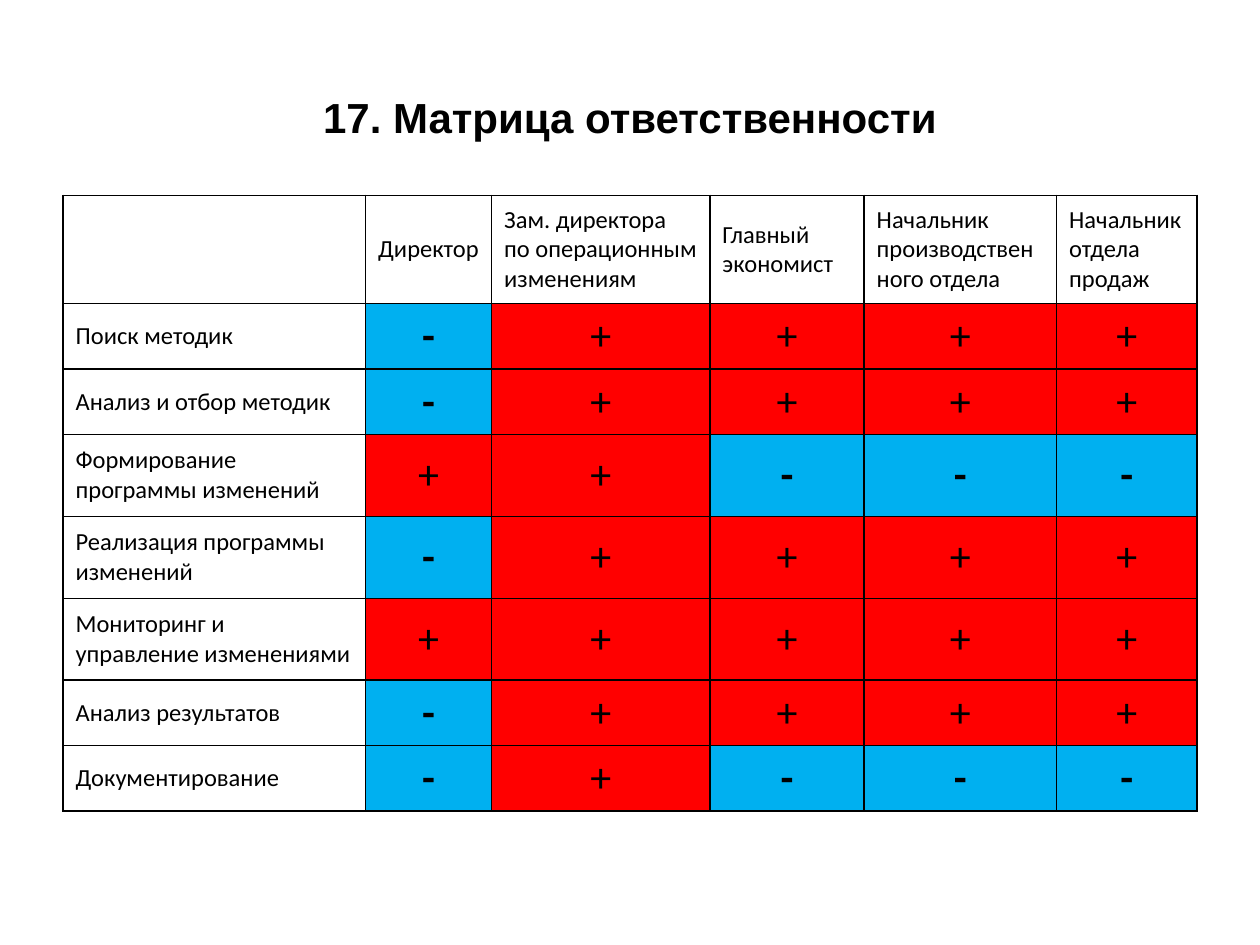
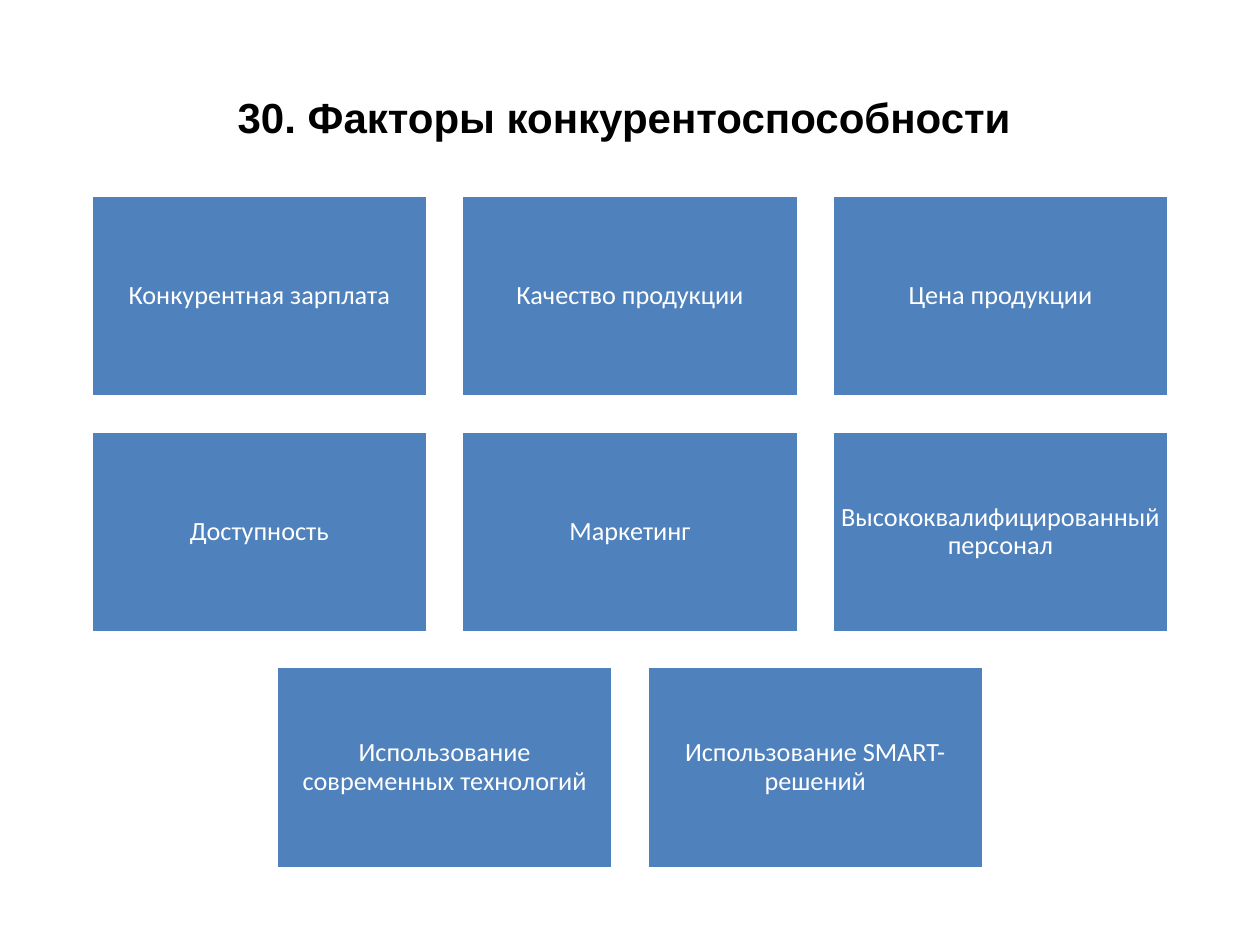
from lxml.etree import SubElement
from pptx import Presentation
from pptx.dml.color import RGBColor
from pptx.enum.shapes import MSO_SHAPE
from pptx.enum.text import MSO_ANCHOR, PP_ALIGN
from pptx.oxml.ns import qn
from pptx.util import Cm, Pt

BLACK = RGBColor(0x00, 0x00, 0x00)
WHITE = RGBColor(0xFF, 0xFF, 0xFF)
RED = RGBColor(0xFF, 0x00, 0x00)
SKY = RGBColor(0x00, 0xB0, 0xF0)
BLUE = RGBColor(0x4F, 0x81, 0xBD)

PAGE_WIDTH, PAGE_HEIGHT = Cm(25.4), Cm(19.05)
TITLE_BOX = (Cm(1.27), Cm(0.76), Cm(22.86), Cm(3.18))
BODY_BOX = (Cm(1.27), Cm(3.94), Cm(22.86), Cm(13.57))
TITLE_ONLY = 5

COLUMN_WIDTHS = [6.1, 2.54, 4.4, 3.11, 3.88, 2.83]
HEADER_HEIGHT, LOW_ROW, TALL_ROW = 2.18, 1.32, 1.65
ROLES = [
    "Директор",
    "Зам. директора по операционным изменениям",
    "Главный экономист",
    "Начальник производственного отдела",
    "Начальник отдела продаж",
]
# Task, one mark per role, row height
TASKS = [
    ("Поиск методик", "-++++", LOW_ROW),
    ("Анализ и отбор методик", "-++++", LOW_ROW),
    ("Формирование программы изменений", "++---", TALL_ROW),
    ("Реализация программы изменений", "-++++", TALL_ROW),
    ("Мониторинг и управление изменениями", "+++++", TALL_ROW),
    ("Анализ результатов", "-++++", LOW_ROW),
    ("Документирование", "-+---", LOW_ROW),
]

FACTORS = [
    "Конкурентная зарплата",
    "Качество продукции",
    "Цена продукции",
    "Доступность",
    "Маркетинг",
    "Высококвалифицированный персонал",
    "Использование современных технологий",
    "Использование SMART-решений",
]
FACTORS_PER_ROW = 3
FACTOR_WIDTH, FACTOR_HEIGHT, FACTOR_GAP = Cm(6.79), Cm(4.07), Cm(0.68)


def write(frame, text, size, color=BLACK, font="Calibri", bold=False,
          align=PP_ALIGN.CENTER):
    para = frame.paragraphs[0]
    para.alignment = align
    span = para.add_run()
    span.text = text
    span.font.name = font
    span.font.size = Pt(size)
    span.font.bold = bold
    span.font.color.rgb = color
    return para


def add_titled_page(deck, title):
    page = deck.slides.add_slide(deck.slide_layouts[TITLE_ONLY])
    box = page.shapes.title
    box.left, box.top, box.width, box.height = TITLE_BOX
    box.text_frame.vertical_anchor = MSO_ANCHOR.MIDDLE
    write(box.text_frame, title, 24, font="Arial", bold=True)
    return page


def outline_cell(cell):
    properties = cell._tc.get_or_add_tcPr()
    for side in ("a:lnL", "a:lnR", "a:lnT", "a:lnB"):
        line = SubElement(properties, qn(side), w=str(Pt(1)))
        fill = SubElement(line, qn("a:solidFill"))
        SubElement(fill, qn("a:srgbClr"), val=str(BLACK))


def fill_label_cell(cell, text):
    cell.fill.background()
    if text:
        write(cell.text_frame, text, 14, align=PP_ALIGN.LEFT)


def fill_mark_cell(cell, mark):
    cell.fill.solid()
    cell.fill.fore_color.rgb = RED if mark == "+" else SKY
    write(cell.text_frame, mark, 24, bold=mark == "-")


def add_responsibility_matrix(page, box):
    left, top, width, _ = box
    heights = [HEADER_HEIGHT] + [height for _, _, height in TASKS]
    matrix = page.shapes.add_table(len(heights), len(COLUMN_WIDTHS), left, top,
                                   width, Cm(sum(heights))).table
    matrix.first_row = matrix.horz_banding = False
    for column, column_width in zip(matrix.columns, COLUMN_WIDTHS):
        column.width = Cm(column_width)
    for row, height in zip(matrix.rows, heights):
        row.height = Cm(height)
    for cell in matrix.iter_cells():
        outline_cell(cell)
        cell.vertical_anchor = MSO_ANCHOR.MIDDLE

    for column, role in enumerate(["", *ROLES]):
        fill_label_cell(matrix.cell(0, column), role)
    for row, (task, marks, _) in enumerate(TASKS, start=1):
        fill_label_cell(matrix.cell(row, 0), task)
        for column, mark in enumerate(marks, start=1):
            fill_mark_cell(matrix.cell(row, column), mark)


def add_factor(page, left, top, text):
    tile = page.shapes.add_shape(MSO_SHAPE.RECTANGLE, left, top,
                                 FACTOR_WIDTH, FACTOR_HEIGHT)
    tile.shadow.inherit = False
    tile.fill.solid()
    tile.fill.fore_color.rgb = BLUE
    tile.line.color.rgb = WHITE
    tile.line.width = Pt(2)
    frame = tile.text_frame
    frame.word_wrap = True
    frame.vertical_anchor = MSO_ANCHOR.MIDDLE
    frame.margin_left = frame.margin_right = Cm(0.15)
    frame.margin_top = frame.margin_bottom = Cm(0.15)
    write(frame, text, 15, WHITE).line_spacing = 0.9


def add_factor_grid(page, box):
    """Place the factors in rows, each row centred in the box."""
    left, top, width, _ = box
    step = FACTOR_WIDTH + FACTOR_GAP
    for start in range(0, len(FACTORS), FACTORS_PER_ROW):
        row = FACTORS[start:start + FACTORS_PER_ROW]
        row_left = left + (width - len(row) * step + FACTOR_GAP) // 2
        row_top = top + start // FACTORS_PER_ROW * (FACTOR_HEIGHT + FACTOR_GAP)
        for column, factor in enumerate(row):
            add_factor(page, row_left + column * step, row_top, factor)


def main():
    deck = Presentation()
    deck.slide_width, deck.slide_height = PAGE_WIDTH, PAGE_HEIGHT
    page = add_titled_page(deck, "17. Матрица ответственности")
    add_responsibility_matrix(page, BODY_BOX)
    page = add_titled_page(deck, "30. Факторы конкурентоспособности ")
    add_factor_grid(page, BODY_BOX)
    deck.save("out.pptx")


if __name__ == "__main__":
    main()
